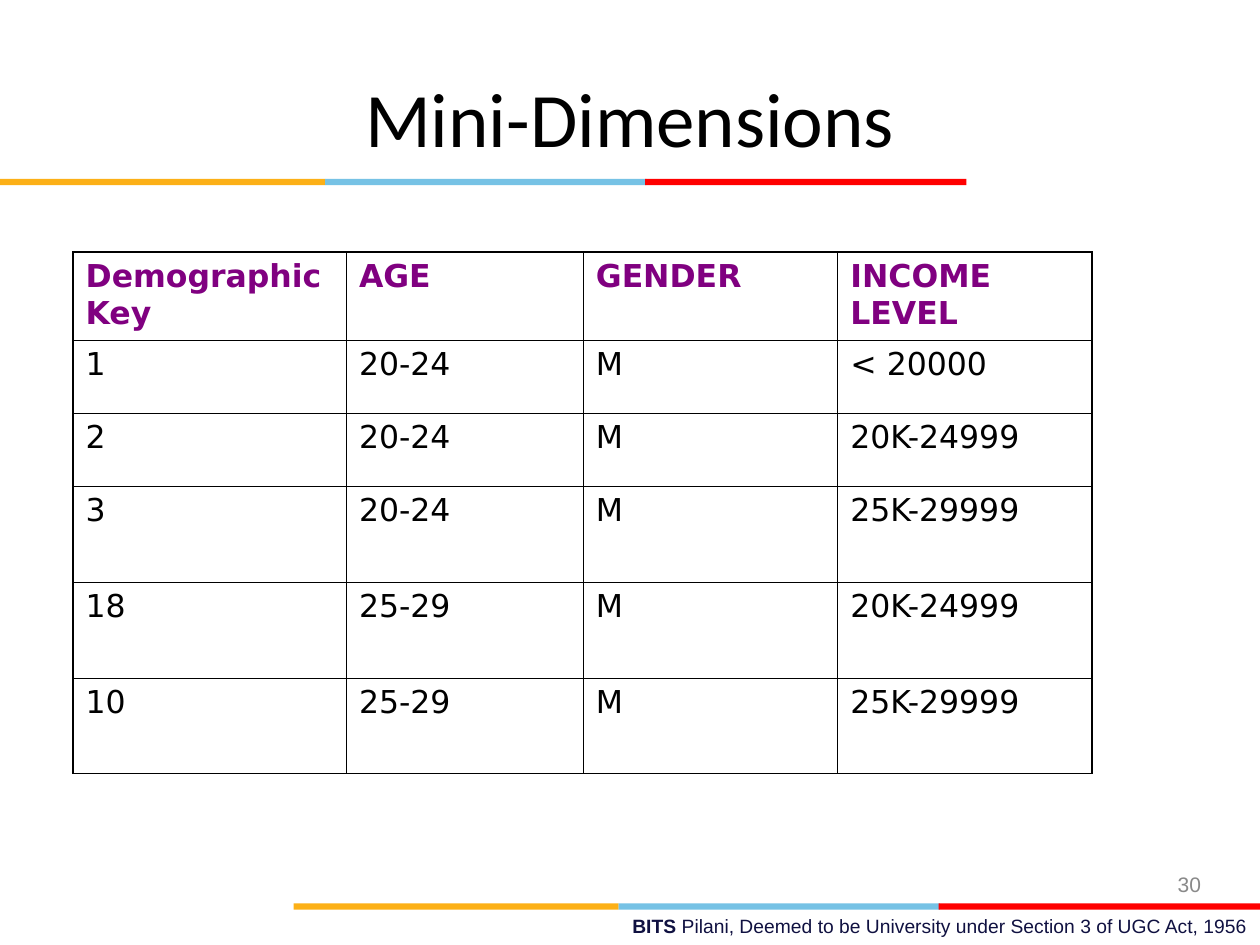
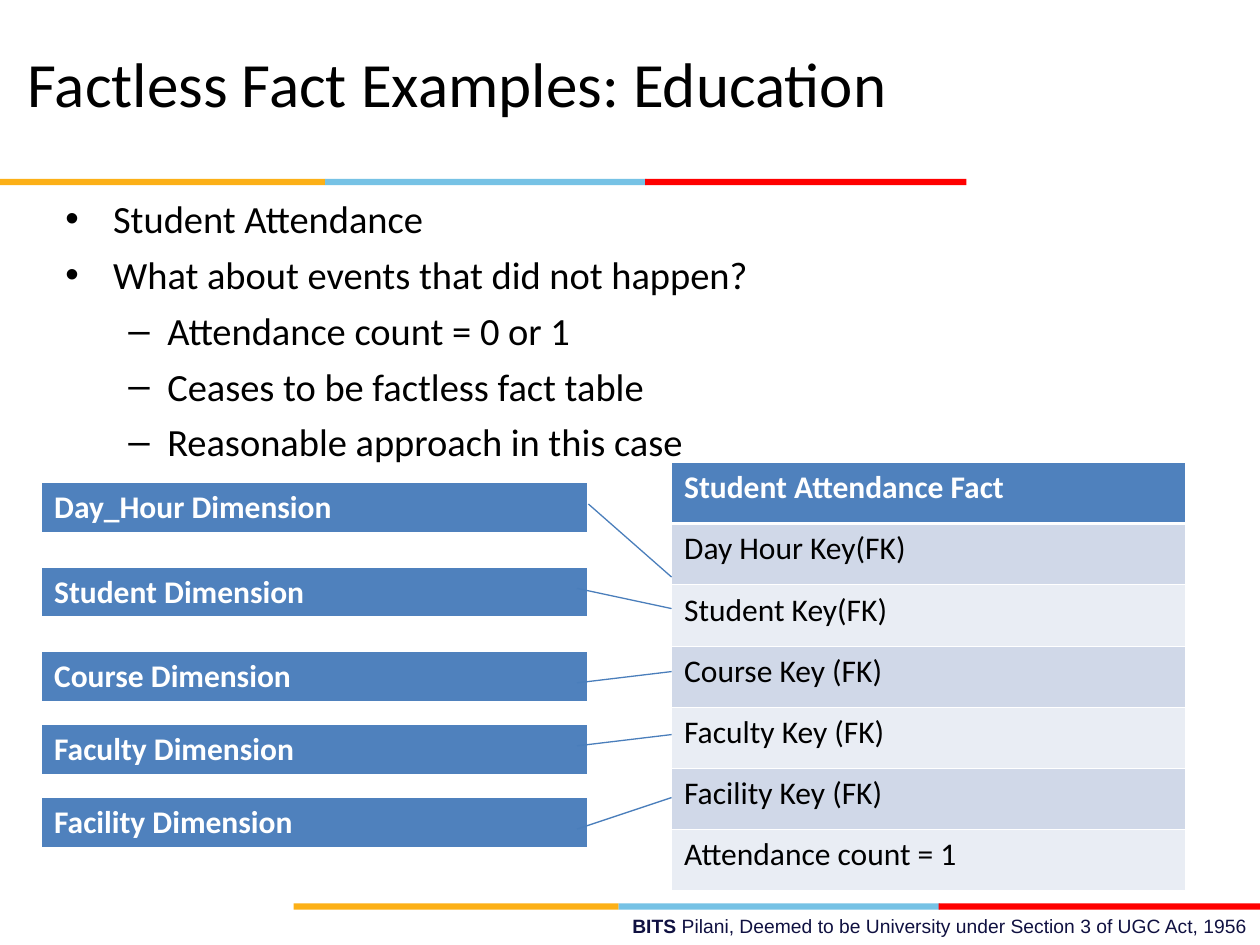
"""Build two slides on mini-dimensions and factless fact tables."""
from lxml import etree
from pptx import Presentation
from pptx.dml.color import RGBColor
from pptx.enum.shapes import MSO_CONNECTOR, MSO_SHAPE
from pptx.enum.text import MSO_ANCHOR, PP_ALIGN
from pptx.oxml.ns import qn
from pptx.util import Inches, Pt

COLORS = {
    "gold": "FCB017", "sky": "76C2E5", "red": "FF0000", "navy": "101141",
    "black": "000000", "white": "FFFFFF", "gray": "898989", "purple": "800080",
    "header": "4F81BD", "odd": "D0D8E8", "even": "E9EDF4", "line": "4A7EBB",
}
FOOTER = ("BITS ", "Pilani, Deemed to be University under Section 3 of UGC Act, 1956")
STRIPE = [("gold", 0, 2.58), ("sky", 2.58, 2.55), ("red", 5.12, 2.55)]
STRIPE_ORIGINS = [(0, 1.42), (2.33, 7.17)]

DEMOGRAPHICS = [
    ("Demographic Key", "AGE", "GENDER", "INCOME LEVEL"),
    ("1", "20-24", "M", "< 20000"),
    ("2", "20-24", "M", "20K-24999"),
    ("3", "20-24", "M", "25K-29999"),
    ("18", "25-29", "M", "20K-24999"),
    ("10", "25-29", "M", "25K-29999"),
]
DEMOGRAPHIC_COLS = [2.17, 1.88, 2.02, 2.02]
DEMOGRAPHIC_ROWS = [0.7, 0.58, 0.58, 0.76, 0.76, 0.76]

BULLETS = [
    (0, "Student Attendance"),
    (0, "What about events that did not happen?"),
    (1, "Attendance count = 0 or 1"),
    (1, "Ceases to be factless fact table"),
    (1, "Reasonable approach in this case"),
]
BULLET_STYLES = [("•", 0.38, -0.38), ("–", 0.81, -0.31)]
FACT_ROWS = [
    "Student Attendance Fact", "Day Hour Key(FK)", "Student Key(FK)",
    "Course Key (FK)", "Faculty Key (FK)", "Facility Key (FK)",
    "Attendance count = 1",
]
DIMENSIONS = [
    ("Day_Hour Dimension", 3.83), ("Student Dimension", 4.5),
    ("Course Dimension", 5.17), ("Faculty Dimension", 5.75),
    ("Facility Dimension", 6.33),
]
LINKS = [
    (4.67, 4, 4.58), (4.58, 4.67, 4.83), (4.58, 5.42, 5.33),
    (4.58, 5.92, 5.83), (4.58, 6.58, 6.33),
]
FACT_LEFT = 5.33


def rgb(name):
    return RGBColor.from_string(COLORS[name])


def box(left, top, width, height):
    return [Inches(v) for v in (left, top, width, height)]


def add_text(p, text, size=18, color="black", font="Calibri", bold=False, align=None):
    if align is not None:
        p.alignment = align
    r = p.add_run()
    r.text = text
    r.font.size, r.font.name, r.font.bold = Pt(size), font, bold
    r.font.color.rgb = rgb(color)


def add_box(s, *at, anchor=MSO_ANCHOR.TOP):
    tf = s.shapes.add_textbox(*box(*at)).text_frame
    tf.word_wrap = True
    tf.vertical_anchor = anchor
    return tf


def add_stripe(s, left, top):
    for color, offset, width in STRIPE:
        sp = s.shapes.add_shape(MSO_SHAPE.RECTANGLE, *box(left + offset, top, width, 0.05))
        sp.shadow.inherit = False
        sp.fill.solid()
        sp.fill.fore_color.rgb = rgb(color)
        sp.line.fill.background()


def add_slide(prs, title, at, size, align):
    s = prs.slides.add_slide(prs.slide_layouts[5])
    p = add_box(s, 3.58, 7.21, 6.42, 0.29).paragraphs[0]
    for text, bold in zip(FOOTER, (True, False)):
        add_text(p, text, size=11, color="navy", font="Arial", bold=bold, align=PP_ALIGN.RIGHT)
    for origin in STRIPE_ORIGINS:
        add_stripe(s, *origin)
    sp = s.shapes.title
    sp.left, sp.top, sp.width, sp.height = box(*at)
    sp.text_frame.vertical_anchor = MSO_ANCHOR.MIDDLE
    add_text(sp.text_frame.paragraphs[0], title, size=size, align=align)
    return s


def set_borders(cell, color, widths):
    tc_pr = cell._tc.get_or_add_tcPr()
    for i, (side, width) in enumerate(zip("LRTB", widths)):
        ln = etree.Element(qn(f"a:ln{side}"), w=str(Pt(width)))
        fill = etree.SubElement(ln, qn("a:solidFill"))
        etree.SubElement(fill, qn("a:srgbClr"), val=COLORS[color])
        tc_pr.insert(i, ln)


def add_grid(s, left, top, cols, rows, data, style):
    at = box(left, top, sum(cols), sum(rows))
    table = s.shapes.add_table(len(rows), len(cols), *at).table
    for col, width in zip(table.columns, cols):
        col.width = Inches(width)
    for i, (row, height) in enumerate(zip(table.rows, rows)):
        row.height = Inches(height)
        for j, cell in enumerate(row.cells):
            fill, color, border, widths = style(i, j)
            if fill:
                cell.fill.solid()
                cell.fill.fore_color.rgb = rgb(fill)
            else:
                cell.fill.background()
            add_text(cell.text_frame.paragraphs[0], data[i][j], color=color, bold=i == 0)
            set_borders(cell, border, widths)
    return table


def demographic_style(i, j):
    last_row, last_col = len(DEMOGRAPHIC_ROWS) - 1, len(DEMOGRAPHIC_COLS) - 1
    outer = (j == 0, j == last_col, i == 0, i == last_row)
    widths = [1.08 if edge else 0.45 for edge in outer]
    return None, "black" if i else "purple", "black", widths


def star_style(i, j):
    if i == 0:
        return "header", "white", "white", (0.45, 0.45, 0.45, 1.47)
    fill = "odd" if i % 2 else "even"
    return fill, "black", "white", (0.45, 0.45, 1.47 if i == 1 else 0.45, 0.45)


def add_bullets(s):
    tf = add_box(s, 0.42, 1.5, 9, 2.2)
    for i, (level, text) in enumerate(BULLETS):
        p = tf.add_paragraph() if i else tf.paragraphs[0]
        char, margin, indent = BULLET_STYLES[level]
        p.level = level
        if i:
            p.space_before = Pt(5.5)
        p_pr = p._p.get_or_add_pPr()
        p_pr.set("marL", str(Inches(margin)))
        p_pr.set("indent", str(Inches(indent)))
        etree.SubElement(p_pr, qn("a:buFont"), typeface="Arial")
        etree.SubElement(p_pr, qn("a:buChar"), char=char)
        add_text(p, text, size=22)


def add_link(s, x, y, end_y):
    ends = box(x, y, FACT_LEFT, end_y)
    line = s.shapes.add_connector(MSO_CONNECTOR.STRAIGHT, *ends)
    line.line.color.rgb = rgb("line")
    line.line.width = Pt(0.75)
    etree.SubElement(line._element.spPr, qn("a:effectLst"))


def build_mini_dimensions(prs):
    s = add_slide(prs, "Mini-Dimensions", (0.5, 0.3, 9, 1.25), 44, PP_ALIGN.CENTER)
    tf = add_box(s, 7.3, 6.82, 2.33, 0.4, anchor=MSO_ANCHOR.MIDDLE)
    add_text(tf.paragraphs[0], "30", size=12, color="gray", font="Arial", align=PP_ALIGN.RIGHT)
    table = add_grid(s, 0.58, 2, DEMOGRAPHIC_COLS, DEMOGRAPHIC_ROWS, DEMOGRAPHICS,
                     demographic_style)
    for cell in table.iter_cells():
        cell.text_frame.paragraphs[0].runs[0].font.name = "DejaVu Sans"


def build_factless_fact(prs):
    s = add_slide(prs, "Factless Fact Examples: Education", (0.12, 0.27, 8.93, 0.77), 36,
                  PP_ALIGN.LEFT)
    add_bullets(s)
    rows = [3.4 / len(FACT_ROWS)] * len(FACT_ROWS)
    add_grid(s, FACT_LEFT, 3.67, [4.08], rows, [(text,) for text in FACT_ROWS], star_style)
    for name, top in DIMENSIONS:
        add_grid(s, 0.33, top, [4.33], [0.4], [(name,)], star_style)
    for link in LINKS:
        add_link(s, *link)


def main():
    prs = Presentation()
    prs.slide_width, prs.slide_height = Inches(10), Inches(7.5)
    build_mini_dimensions(prs)
    build_factless_fact(prs)
    prs.save("out.pptx")


if __name__ == "__main__":
    main()
